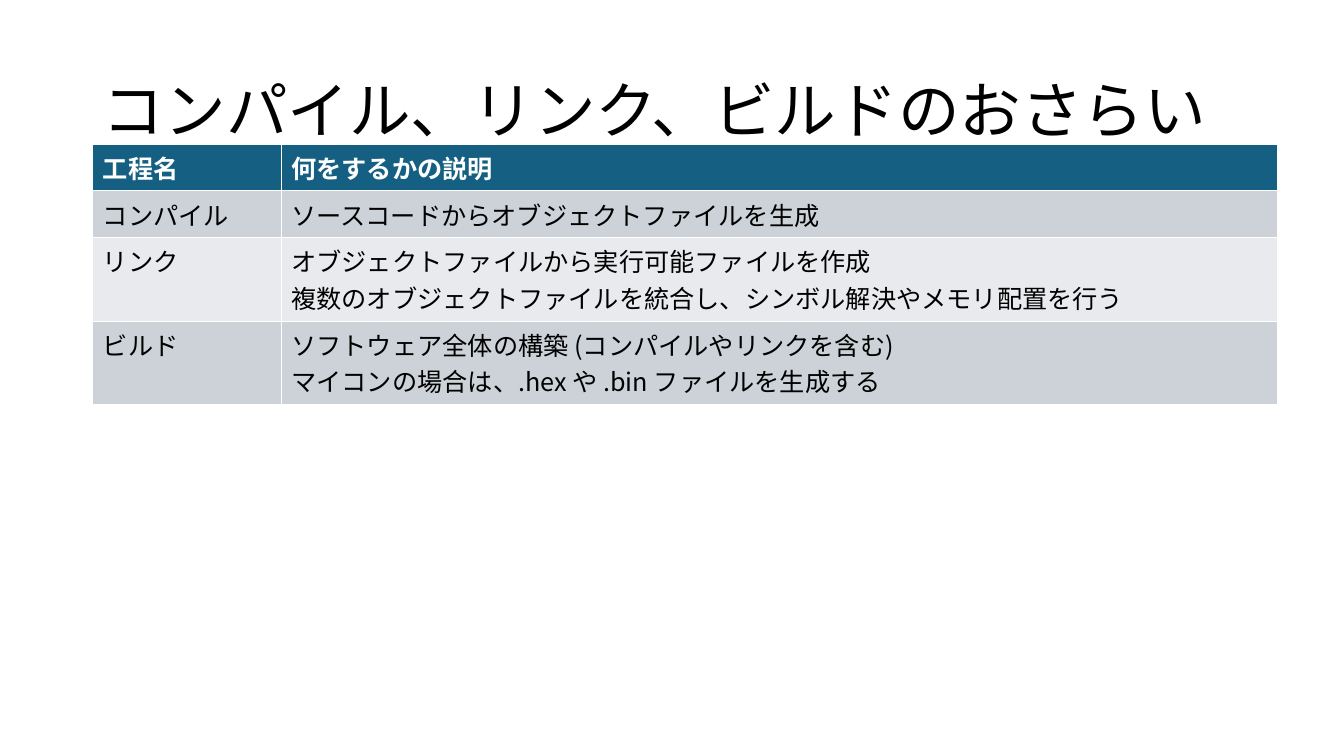
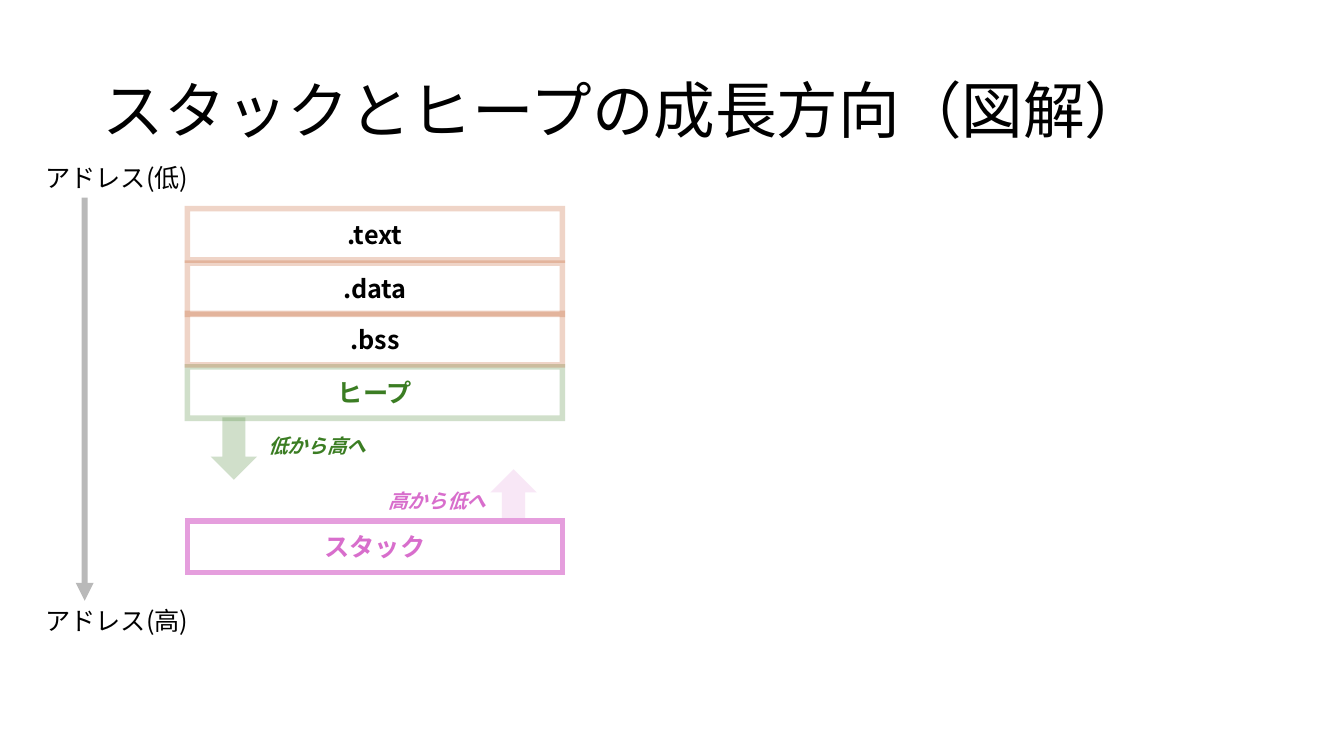
from lxml.etree import SubElement
from pptx import Presentation
from pptx.dml.color import RGBColor
from pptx.enum.shapes import MSO_CONNECTOR, MSO_SHAPE
from pptx.enum.text import MSO_ANCHOR, MSO_AUTO_SIZE, PP_ALIGN
from pptx.oxml.ns import qn
from pptx.util import Inches, Pt

WIDTH, HEIGHT = Inches(13.33), Inches(7.5)
COLUMN, ROW = WIDTH / 100, HEIGHT / 100
FONT = "Noto Sans CJK JP"
BLACK = RGBColor(0x00, 0x00, 0x00)
WHITE = RGBColor(0xFF, 0xFF, 0xFF)
GRAY = RGBColor(0x80, 0x80, 0x80)
TEAL = RGBColor(0x15, 0x60, 0x82)
BAND_DARK = RGBColor(0xCC, 0xD2, 0xD8)
BAND_LIGHT = RGBColor(0xE8, 0xEA, 0xED)
ORANGE = RGBColor(0xC0, 0x4F, 0x15)
GREEN = RGBColor(0x3B, 0x7D, 0x23)
PINK = RGBColor(0xE5, 0x9E, 0xDD)
MAGENTA = RGBColor(0xD8, 0x6E, 0xCC)
FAINT = 24

STAGES = [
    ("工程名", ["何をするかの説明"]),
    ("コンパイル", ["ソースコードからオブジェクトファイルを生成"]),
    ("リンク", ["オブジェクトファイルから実行可能ファイルを作成",
             "複数のオブジェクトファイルを統合し、シンボル解決やメモリ配置を行う"]),
    ("ビルド", ["ソフトウェア全体の構築 (コンパイルやリンクを含む)",
             "マイコンの場合は、.hex や .bin ファイルを生成する"]),
]
STAGE_COLUMNS = [14.03, 74.1]
STAGE_ROWS = [6.1, 6.2, 11.05, 11.05]

REGIONS = [
    ("ヒープ", 48.53, GREEN, FAINT, GREEN),
    ("スタック", 68.93, PINK, 100, MAGENTA),
    (".text", 27.6, ORANGE, FAINT, BLACK),
    (".data", 34.8, ORANGE, FAINT, BLACK),
    (".bss", 41.47, ORANGE, FAINT, BLACK),
]
REGION_LEFT, REGION_WIDTH, REGION_HEIGHT = 13.95, 27.9, 6.8
AXIS_COLUMN, AXIS_TOP, AXIS_BOTTOM = 6.3, 26.13, 79.47


def grid(left, top, width, height):
    """Turn hundredths of the slide into lengths."""
    return (round(left * COLUMN), round(top * ROW),
            round(width * COLUMN), round(height * ROW))


def add_span(para, text, size, color, bold=False, italic=False):
    """Add one formatted run, with the font for Latin and Japanese text."""
    span = para.add_run()
    span.text = text
    font = span.font
    font.name, font.size = FONT, Pt(size)
    font.bold, font.italic = bold, italic
    font.color.rgb = color
    SubElement(font._element, qn("a:ea"), typeface=FONT)


def set_alpha(properties, percent):
    """Make the solid colour inside the given properties translucent."""
    color = properties.find(qn("a:solidFill")).find(qn("a:srgbClr"))
    SubElement(color, qn("a:alpha"), val=str(percent * 1000))


def set_line(shape, color, width, percent):
    """Outline a shape or connector and return the line's XML."""
    shape.line.color.rgb = color
    shape.line.width = Pt(width)
    line = shape.line._get_or_add_ln()
    if percent < 100:
        set_alpha(line, percent)
    return line


def add_page(deck, title):
    """Add a slide with the shared title style."""
    page = deck.slides.add_slide(deck.slide_layouts[5])
    box = page.shapes.title
    box.left, box.top, box.width, box.height = grid(6.9, 5.33, 86.25, 19.33)
    frame = box.text_frame
    frame.auto_size = MSO_AUTO_SIZE.NONE
    frame.vertical_anchor = MSO_ANCHOR.MIDDLE
    para = frame.paragraphs[0]
    para.alignment = PP_ALIGN.LEFT
    para.line_spacing = 0.9
    add_span(para, title, 44, BLACK)
    return page


def fill_cell(cell, lines, fill, color, bold):
    """Fill a table cell with one paragraph for each line."""
    cell.fill.solid()
    cell.fill.fore_color.rgb = fill
    frame = cell.text_frame
    for index, text in enumerate(lines):
        para = frame.add_paragraph() if index else frame.paragraphs[0]
        add_span(para, text, 18, color, bold)


def add_stage_table(page):
    """Add the table that explains each build stage."""
    place = grid(6.9, 19.07, sum(STAGE_COLUMNS), sum(STAGE_ROWS))
    table = page.shapes.add_table(len(STAGES), len(STAGE_COLUMNS), *place).table
    for column, width in zip(table.columns, STAGE_COLUMNS):
        column.width = round(width * COLUMN)
    for index, (stage, lines) in enumerate(STAGES):
        table.rows[index].height = round(STAGE_ROWS[index] * ROW)
        header = index == 0
        band = BAND_DARK if index % 2 else BAND_LIGHT
        fill, color = (TEAL, WHITE) if header else (band, BLACK)
        for cell, content in zip(table.rows[index].cells, ([stage], lines)):
            fill_cell(cell, content, fill, color, header)


def add_region(page, name, top, outline, percent, color):
    """Add one outlined memory region."""
    place = grid(REGION_LEFT, top, REGION_WIDTH, REGION_HEIGHT)
    box = page.shapes.add_shape(MSO_SHAPE.RECTANGLE, *place)
    box.shadow.inherit = False
    box.fill.background()
    SubElement(set_line(box, outline, 4, percent), qn("a:miter"), lim="800000")
    box.text_frame.vertical_anchor = MSO_ANCHOR.MIDDLE
    para = box.text_frame.paragraphs[0]
    para.alignment = PP_ALIGN.CENTER
    add_span(para, name, 18, color, bold=True)


def add_growth_arrow(page, kind, place, color):
    """Add a translucent block arrow."""
    arrow = page.shapes.add_shape(kind, *grid(*place))
    arrow.shadow.inherit = False
    arrow.fill.solid()
    arrow.fill.fore_color.rgb = color
    set_alpha(arrow._element.spPr, FAINT)
    arrow.line.fill.background()


def add_label(page, text, place, size, color, emphasis=False):
    """Add a text box; an emphasised one is centred, bold and italic."""
    frame = page.shapes.add_textbox(*grid(*place)).text_frame
    frame.word_wrap = not emphasis
    para = frame.paragraphs[0]
    para.alignment = PP_ALIGN.CENTER if emphasis else PP_ALIGN.LEFT
    add_span(para, text, size, color, emphasis, emphasis)


def add_address_axis(page):
    """Add the address arrow that runs from low to high."""
    left, top, _, height = grid(AXIS_COLUMN, AXIS_TOP, 0, AXIS_BOTTOM - AXIS_TOP)
    axis = page.shapes.add_connector(MSO_CONNECTOR.STRAIGHT, left, top, left, top + height)
    SubElement(set_line(axis, GRAY, 4.25, 54), qn("a:tailEnd"), type="triangle")
    SubElement(axis._element.spPr, qn("a:effectLst"))
    for text, label_top in (("アドレス(低)", 20.8), ("アドレス(高)", AXIS_BOTTOM)):
        add_label(page, text, (2.63, label_top, 12.45, 5.33), 18, BLACK)


def add_memory_map(page):
    """Add the memory regions and the directions in which they grow."""
    for region in REGIONS:
        add_region(page, *region)
    add_growth_arrow(page, MSO_SHAPE.DOWN_ARROW, (15.68, 55.2, 3.45, 8.27), GREEN)
    add_growth_arrow(page, MSO_SHAPE.UP_ARROW, (36.49, 62.07, 3.45, 6.8), PINK)
    add_label(page, "低から高へ", (19.2, 56.8, 8.85, 4.53), 14, GREEN, emphasis=True)
    add_label(page, "高から低へ", (28.13, 64, 8.85, 4.53), 14, MAGENTA, emphasis=True)


def main():
    """Build and save the deck."""
    deck = Presentation()
    deck.slide_width, deck.slide_height = WIDTH, HEIGHT
    add_stage_table(add_page(deck, "コンパイル、リンク、ビルドのおさらい"))
    page = add_page(deck, "スタックとヒープの成長方向（図解）")
    add_address_axis(page)
    add_memory_map(page)
    deck.save("out.pptx")


if __name__ == "__main__":
    main()
